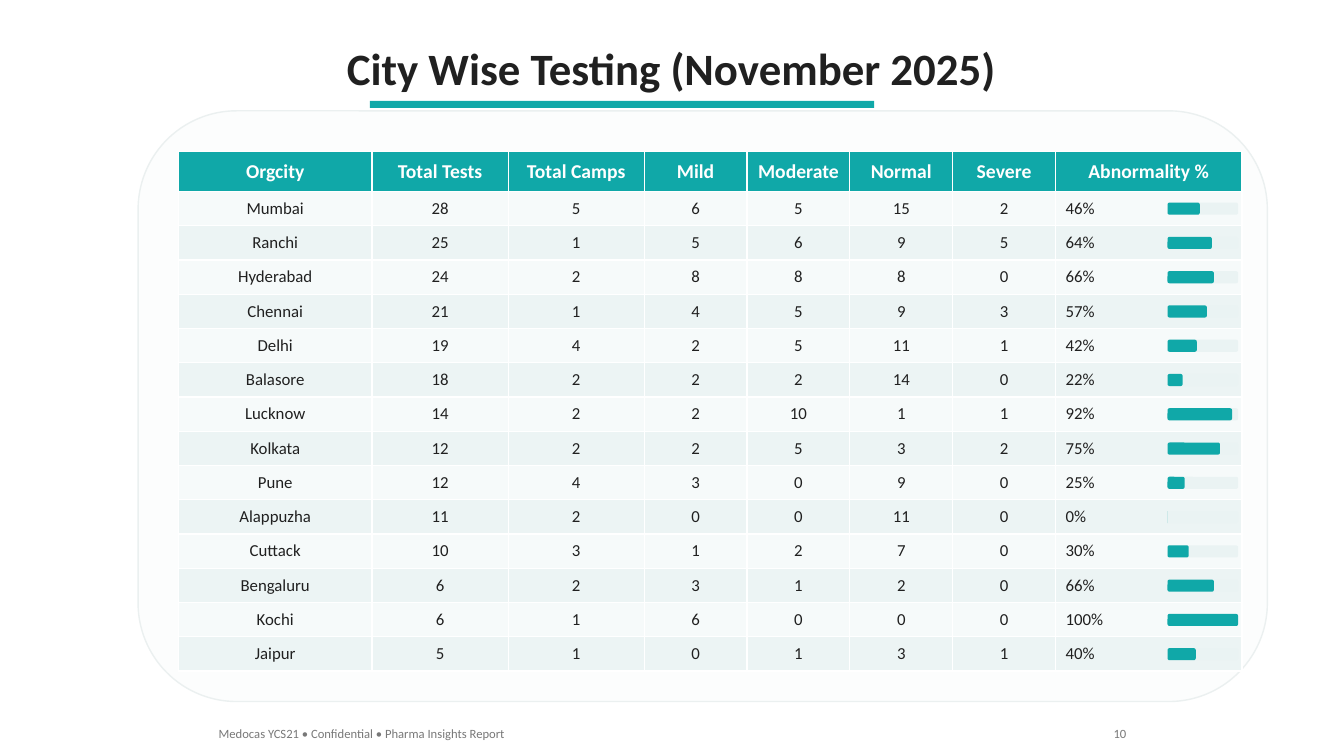
from pptx import Presentation
from pptx.dml.color import RGBColor
from pptx.enum.shapes import MSO_SHAPE
from pptx.enum.text import MSO_ANCHOR, MSO_AUTO_SIZE, PP_ALIGN
from pptx.util import Pt

# Content
TITLE = "City Wise Testing (November 2025)"
HEADERS = ("Orgcity", "Total Tests", "Total Camps", "Mild", "Moderate",
           "Normal", "Severe", "Abnormality %")
CITIES = [
    ("Mumbai", 28, 5, 6, 5, 15, 2, 46),
    ("Ranchi", 25, 1, 5, 6, 9, 5, 64),
    ("Hyderabad", 24, 2, 8, 8, 8, 0, 66),
    ("Chennai", 21, 1, 4, 5, 9, 3, 57),
    ("Delhi", 19, 4, 2, 5, 11, 1, 42),
    ("Balasore", 18, 2, 2, 2, 14, 0, 22),
    ("Lucknow", 14, 2, 2, 10, 1, 1, 92),
    ("Kolkata", 12, 2, 2, 5, 3, 2, 75),
    ("Pune", 12, 4, 3, 0, 9, 0, 25),
    ("Alappuzha", 11, 2, 0, 0, 11, 0, 0),
    ("Cuttack", 10, 3, 1, 2, 7, 0, 30),
    ("Bengaluru", 6, 2, 3, 1, 2, 0, 66),
    ("Kochi", 6, 1, 6, 0, 0, 0, 100),
    ("Jaipur", 5, 1, 0, 1, 3, 1, 40),
]
FOOTER = "Medocas YCS21 • Confidential • Pharma Insights Report"
PAGE_NUMBER = "10"

# Lengths in px, 100 px to the inch
PX = 9144
TABLE_LEFT, TABLE_TOP = 177, 150
COLUMN_WIDTHS = (192, 135, 135, 102, 102, 102, 102, 185)
HEADER_HEIGHT, ROW_HEIGHT = 40, 34
BAR_LEFT, BAR_WIDTH, BAR_HEIGHT = 1158, 70, 12

FONT = "Calibri"
TEAL = RGBColor(0x10, 0xA8, 0xA8)
INK = RGBColor(0x20, 0x20, 0x20)
GREY = RGBColor(0x78, 0x78, 0x78)
WHITE = RGBColor(0xFF, 0xFF, 0xFF)
CARD_FILL = RGBColor(0xFC, 0xFD, 0xFD)
CARD_LINE = RGBColor(0xEB, 0xF0, 0xF0)
ROW_FILLS = (RGBColor(0xF6, 0xFA, 0xFA), RGBColor(0xEC, 0xF4, 0xF4))
TRACK = RGBColor(0xEA, 0xF3, 0xF3)

RECTANGLE = MSO_SHAPE.RECTANGLE
ROUNDED = MSO_SHAPE.ROUNDED_RECTANGLE
LEFT, CENTER, RIGHT = PP_ALIGN.LEFT, PP_ALIGN.CENTER, PP_ALIGN.RIGHT
MIDDLE = MSO_ANCHOR.MIDDLE
FIT_SHAPE = MSO_AUTO_SIZE.SHAPE_TO_FIT_TEXT


def write(frame, text, size=12, color=INK, bold=False, align=CENTER):
    para = frame.paragraphs[0]
    para.alignment = align
    span = para.add_run()
    span.text = text
    span.font.name = FONT
    span.font.size = Pt(size)
    span.font.bold = bold
    span.font.color.rgb = color


def add_block(page, kind, left, top, width, height, fill, line=None):
    block = page.shapes.add_shape(kind, *(v * PX for v in (left, top, width, height)))
    block.shadow.inherit = False
    block.fill.solid()
    block.fill.fore_color.rgb = fill
    if line is None:
        block.line.fill.background()
    else:
        block.line.color.rgb = line
        block.line.width = Pt(1)


def add_label(page, text, left, top, width, height, align):
    box = page.shapes.add_textbox(left * PX, top * PX, width * PX, height * PX)
    box.text_frame.word_wrap = False
    box.text_frame.auto_size = FIT_SHAPE
    write(box.text_frame, text, size=9, color=GREY, align=align)


def fill_cell(cell, text, fill, **text_format):
    cell.fill.solid()
    cell.fill.fore_color.rgb = fill
    cell.vertical_anchor = MIDDLE
    write(cell.text_frame, text, **text_format)


def add_city_table(page):
    height = HEADER_HEIGHT + ROW_HEIGHT * len(CITIES)
    table = page.shapes.add_table(
        len(CITIES) + 1, len(HEADERS), TABLE_LEFT * PX, TABLE_TOP * PX,
        sum(COLUMN_WIDTHS) * PX, height * PX).table
    for column, width in zip(table.columns, COLUMN_WIDTHS):
        column.width = width * PX
    for row in table.rows:
        row.height = ROW_HEIGHT * PX
    table.rows[0].height = HEADER_HEIGHT * PX

    for col, header in enumerate(HEADERS):
        fill_cell(table.cell(0, col), header, TEAL, size=14, color=WHITE, bold=True)
    for row, (*values, percent) in enumerate(CITIES):
        fill = ROW_FILLS[row % 2]
        for col, value in enumerate(values):
            fill_cell(table.cell(row + 1, col), str(value), fill)
        fill_cell(table.cell(row + 1, len(values)), f"{percent}%", fill, align=LEFT)


def add_abnormality_bars(page):
    first_top = TABLE_TOP + HEADER_HEIGHT + (ROW_HEIGHT - BAR_HEIGHT) // 2
    for row, city in enumerate(CITIES):
        top = first_top + row * ROW_HEIGHT
        percent = city[-1]
        if percent < 100:
            add_block(page, ROUNDED, BAR_LEFT, top, BAR_WIDTH, BAR_HEIGHT, TRACK)
        add_block(page, ROUNDED, BAR_LEFT, top, BAR_WIDTH * percent // 100,
                  BAR_HEIGHT, TEAL)


def main():
    deck = Presentation()
    deck.slide_width, deck.slide_height = 1333 * PX, 750 * PX
    page = deck.slides.add_slide(deck.slide_layouts[5])

    # Title and underline
    title = page.shapes.title
    title.left, title.top, title.width, title.height = (
        v * PX for v in (331, 35, 670, 64))
    title.text_frame.word_wrap = False
    title.text_frame.auto_size = FIT_SHAPE
    write(title.text_frame, TITLE, size=32, bold=True)
    add_block(page, RECTANGLE, 367, 100, 500, 7, TEAL)

    # Card with table and bars
    add_block(page, ROUNDED, 137, 110, 1120, 586, CARD_FILL, line=CARD_LINE)
    add_city_table(page)
    add_abnormality_bars(page)

    # Footer
    add_label(page, FOOTER, 207, 715, 305, 25, LEFT)
    add_label(page, PAGE_NUMBER, 1094, 715, 33, 25, RIGHT)

    deck.save("out.pptx")


if __name__ == "__main__":
    main()
